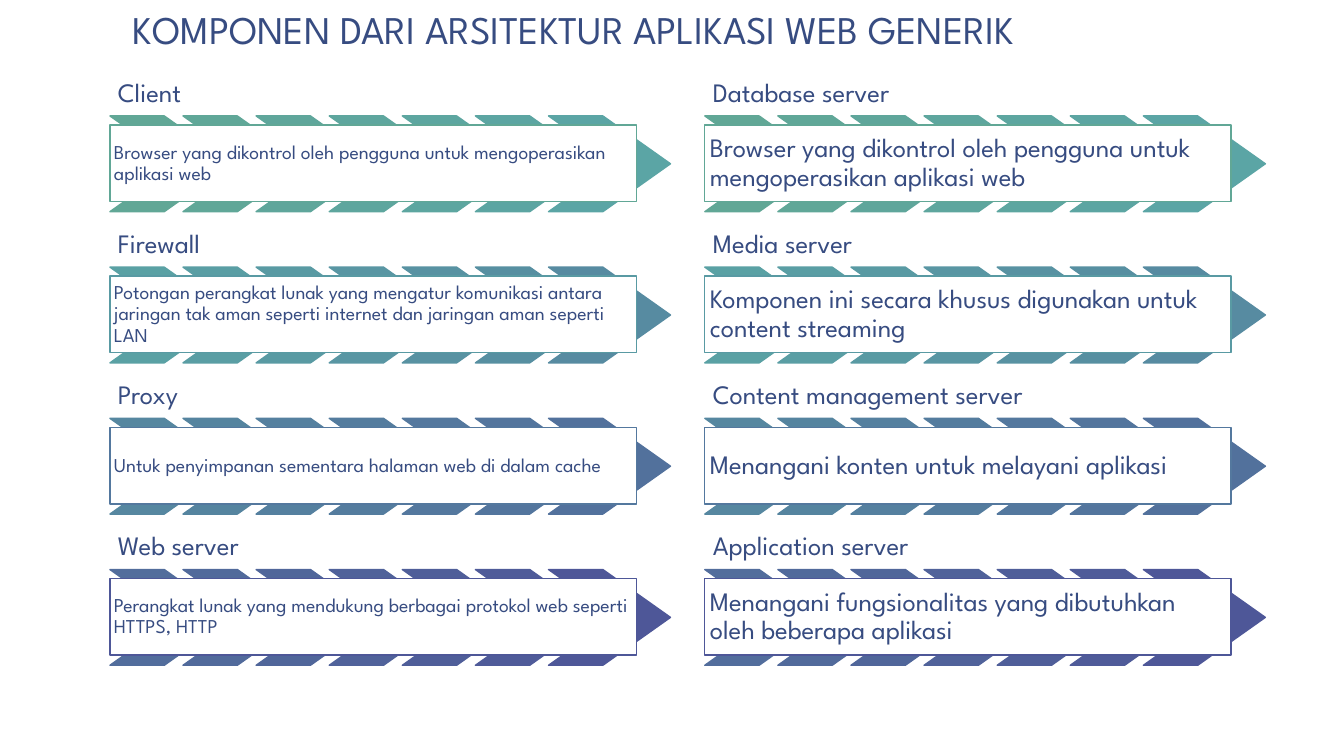
from pptx import Presentation
from pptx.dml.color import RGBColor
from pptx.enum import shapes, text
from pptx.util import Inches, Pt

TITLE = "KOMPONEN DARI ARSITEKTUR APLIKASI WEB GENERIK"
COLUMNS = [
    {"left": 1.09, "size": 14, "inset": 0.04, "rows": [
        ("Client", "Browser yang dikontrol oleh pengguna untuk mengoperasikan aplikasi web"),
        ("Firewall", "Potongan perangkat lunak yang mengatur komunikasi antara jaringan "
                     "tak aman seperti internet dan jaringan aman seperti LAN"),
        ("Proxy", "Untuk penyimpanan sementara halaman web di dalam cache"),
        ("Web server", "Perangkat lunak yang mendukung berbagai protokol web seperti HTTPS, HTTP"),
    ]},
    {"left": 6.99, "size": 19, "inset": 0.05, "rows": [
        ("Database server", "Browser yang dikontrol oleh pengguna untuk mengoperasikan aplikasi web"),
        ("Media server", "Komponen ini secara khusus digunakan untuk content streaming"),
        ("Content management server", "Menangani konten untuk melayani aplikasi"),
        ("Application server", "Menangani fungsionalitas yang dibutuhkan oleh beberapa aplikasi"),
    ]},
]
FONT, INK, WHITE = "League Spartan", "374C81", "FFFFFF"
GREEN, TEAL, INDIGO = "61A796", "5BA5A5", "4E5798"
COUNT = 7            # chevrons in a row
TURN, LAST = 6, 27   # chevron numbers where the ramp reaches teal and indigo
TOP, PITCH, STEP = 0.68, 1.5, 0.725


def color(code):
    return RGBColor.from_string(code)


def ramp(num):
    """Hex colour of chevron num, counted down the whole column."""
    if num <= TURN:
        start, end, part = GREEN, TEAL, num / TURN
    else:
        start, end, part = TEAL, INDIGO, (num - TURN) / (LAST - TURN)
    mix = ""
    for i in (0, 2, 4):
        a, b = int(start[i:i + 2], 16), int(end[i:i + 2], 16)
        mix += f"{round(a + (b - a) * part):02X}"
    return mix


def write(shape, words, size, anchor, inset, space=0.9):
    frame = shape.text_frame
    look = {"word_wrap": True, "vertical_anchor": anchor}
    if inset is not None:
        for side in ("left", "top", "right", "bottom"):
            look["margin_" + side] = Inches(inset)
    for key, val in look.items():
        setattr(frame, key, val)
    para = frame.paragraphs[0]
    para.text = words
    para.alignment = text.PP_ALIGN.LEFT
    para.line_spacing = space
    for key, val in {"name": FONT, "size": Pt(size)}.items():
        setattr(para.font, key, val)
    para.font.color.rgb = color(INK)


def draw(parent, kind, box, fill, line):
    shape = parent.add_shape(kind, *map(Inches, box))
    shape.shadow.inherit = False
    shape.fill.solid()
    shape.fill.fore_color.rgb = color(fill)
    shape.line.color.rgb = color(line)
    shape.line.width = Pt(1)
    return shape


def block(parent, left, row, name, detail, size, inset):
    """One heading, its chevrons and the box over them."""
    top = TOP + row * PITCH
    head = parent.add_textbox(*map(Inches, (left, top, 5.15, 0.47)))
    write(head, name, 19, text.MSO_ANCHOR.BOTTOM, 0.08)
    for i in range(COUNT):
        tint = ramp(row * COUNT + i)
        box = (left + i * STEP, top + 0.47, 1.21, 0.95)
        chevron = draw(parent, shapes.MSO_SHAPE.CHEVRON, box, tint, tint)
        chevron.adjustments[0] = 0.706
    panel = draw(parent, shapes.MSO_SHAPE.RECTANGLE,
                 (left, top + 0.56, 5.22, 0.76), WHITE, ramp(row * 9))
    write(panel, detail, size, text.MSO_ANCHOR.MIDDLE, inset)


def main():
    deck = Presentation()
    deck.slide_width, deck.slide_height = Inches(13.33), Inches(7.5)
    slide = deck.slides.add_slide(deck.slide_layouts[6])
    title = slide.shapes.add_textbox(*map(Inches, (1.22, 0.08, 11.11, 1.53)))
    write(title, TITLE, 28, text.MSO_ANCHOR.TOP, None, 0.85)
    for col in COLUMNS:
        group = slide.shapes.add_group_shape().shapes
        for row, (name, detail) in enumerate(col["rows"]):
            block(group, col["left"], row, name, detail, col["size"], col["inset"])
    deck.save("out.pptx")


if __name__ == "__main__":
    main()
